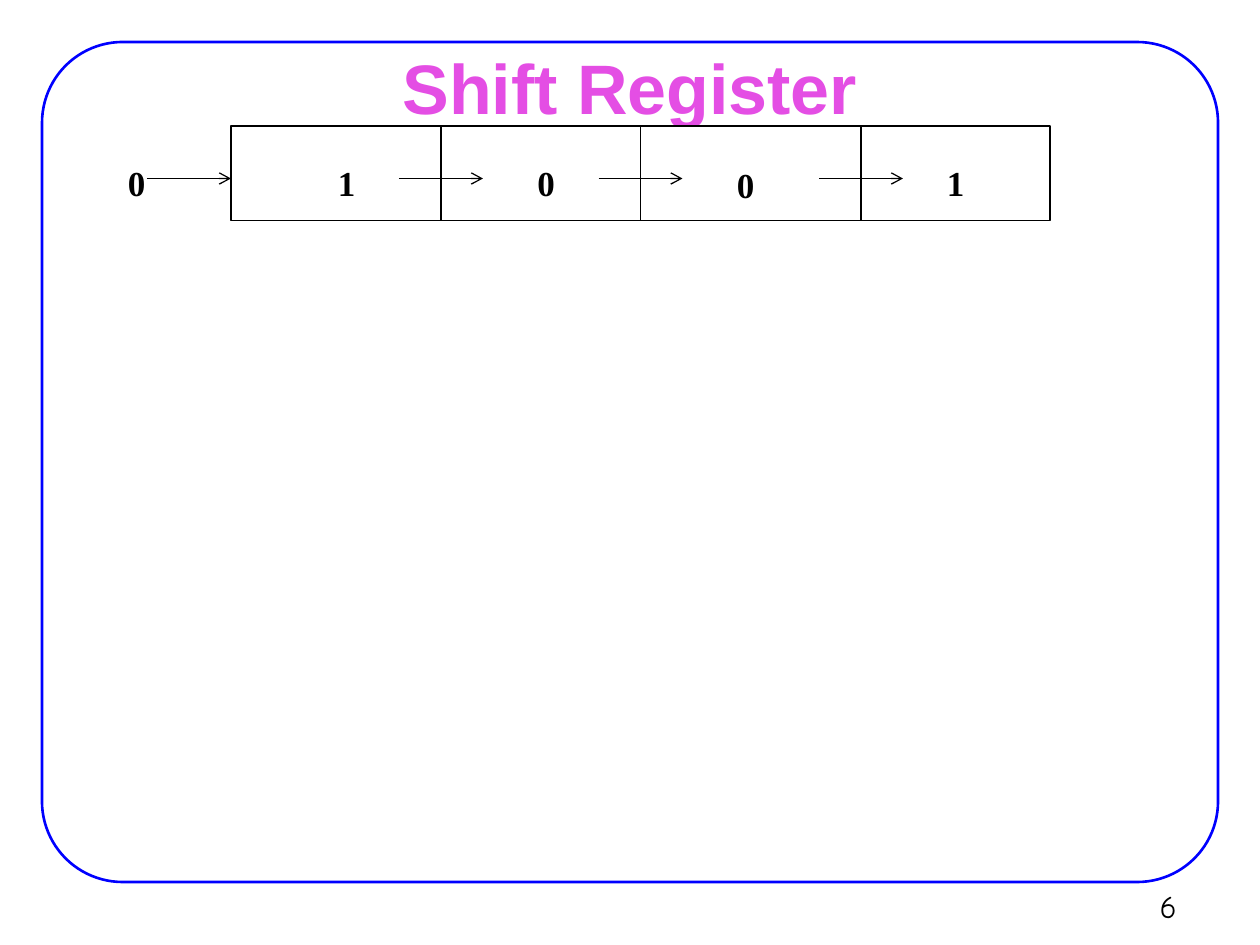
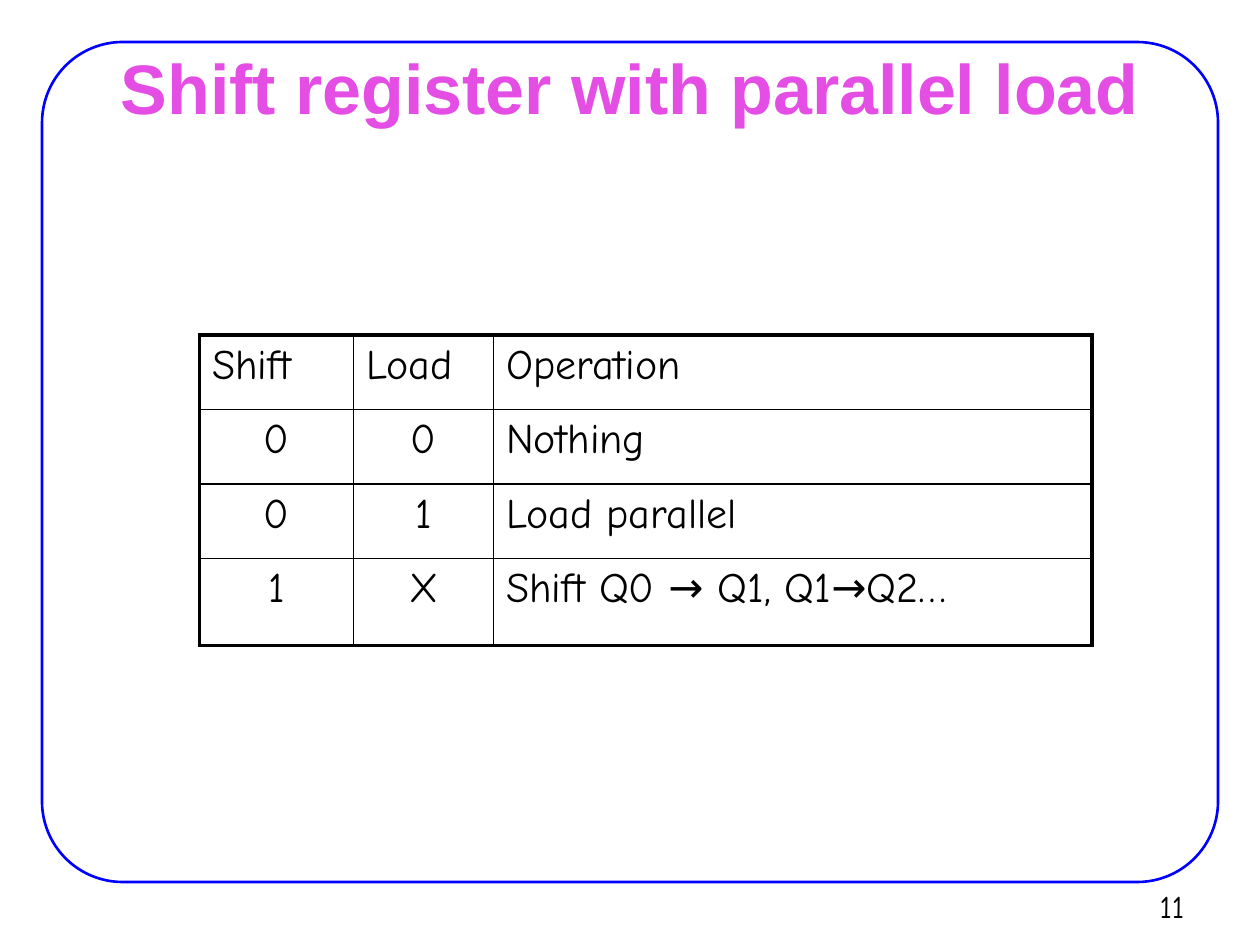
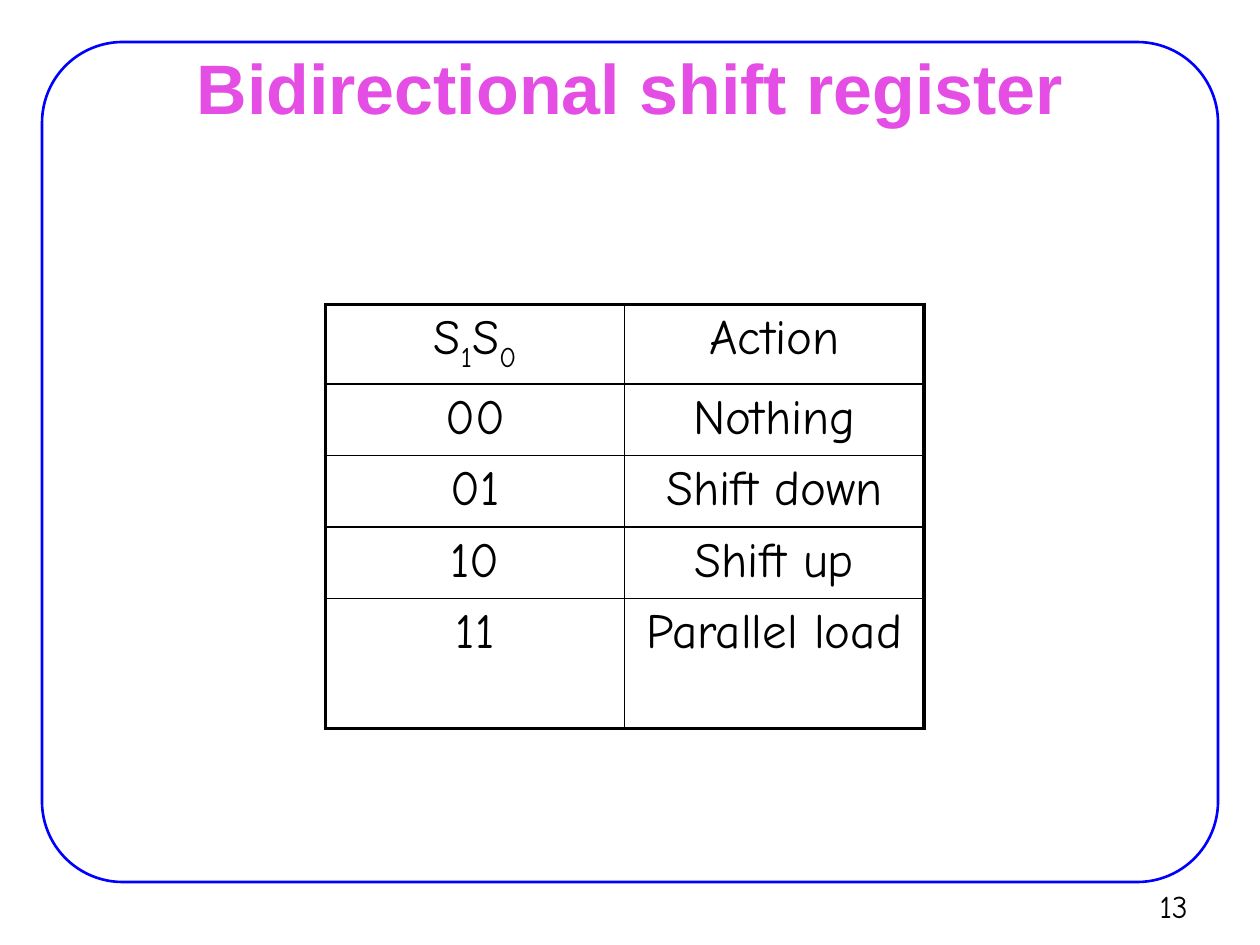
from collections import namedtuple
from dataclasses import dataclass

import pptx
import pptx.util
import pptx.dml.color
import pptx.enum.shapes
import pptx.enum.text
import pptx.oxml
import pptx.oxml.ns
from lxml import etree

SHAPE = pptx.enum.shapes.MSO_SHAPE
ALIGN = pptx.enum.text.PP_ALIGN
ANCHOR = pptx.enum.text.MSO_ANCHOR
qn = pptx.oxml.ns.qn


@dataclass(frozen=True)
class Theme:
    frame: str = "0000FF"
    title: str = "E44EE4"
    ink: str = "000000"
    paper: str = "FFFFFF"
    title_font: str = "Arial"
    body_font: str = "Comic Neue"
    bit_font: str = "Times New Roman"
    title_size: int = 40
    number_size: int = 18
    bit_size: int = 20
    frame_line: float = 1.5
    thin: float = 0.75
    inner_border: float = 1
    outer_border: float = 2.25


THEME = Theme()

# Grid of 120 columns by 90 rows; every Box is given in grid units
COLUMNS, ROWS = 120, 90
WIDTH, HEIGHT = pptx.util.Inches(10), pptx.util.Inches(7.5)
Box = namedtuple("Box", "left top width height")

FRAME = Box(4, 4, 112, 80)
TITLE = Box(9, 5.25, 102, 5.9)
NUMBER = Box(108.25, 83.9, 7.3, 4.4)


def across(columns):
    return round(WIDTH * columns / COLUMNS)


def down(rows):
    return round(HEIGHT * rows / ROWS)


def place(box):
    return across(box.left), down(box.top), across(box.width), down(box.height)


def colour(value):
    return pptx.dml.color.RGBColor.from_string(value)


def set_line(line, value, width):
    line.color.rgb = colour(value)
    line.width = pptx.util.Pt(width)


def add_run(paragraph, words, font, size, ink=THEME.ink, bold=False):
    run = paragraph.add_run()
    run.text = words
    run.font.name = font
    run.font.size = pptx.util.Pt(size)
    run.font.bold = bold
    run.font.color.rgb = colour(ink)
    return run


def add_label(slide, box, words, font, size, ink=THEME.ink, bold=False,
              align=ALIGN.LEFT, anchor=ANCHOR.TOP):
    frame = slide.shapes.add_textbox(*place(box)).text_frame
    frame.word_wrap = True
    frame.vertical_anchor = anchor
    frame.paragraphs[0].alignment = align
    add_run(frame.paragraphs[0], words, font, size, ink, bold)


def add_outline(slide, preset, box, line, width):
    outline = slide.shapes.add_shape(preset, *place(box))
    outline.shadow.inherit = False
    set_line(outline.line, line, width)
    return outline


def add_line(slide, start, end, arrow=False):
    connector = slide.shapes.add_connector(
        pptx.enum.shapes.MSO_CONNECTOR.STRAIGHT,
        across(start[0]), down(start[1]), across(end[0]), down(end[1]))
    set_line(connector.line, THEME.ink, THEME.thin)
    if arrow:
        line = connector.line._get_or_add_ln()
        etree.SubElement(line, qn("a:tailEnd"), type="arrow")
    etree.SubElement(connector._element.spPr, qn("a:effectLst"))
    return connector


def add_page(deck, title, number):
    """Blank slide with the frame, title and page number that all slides share."""
    slide = deck.slides.add_slide(deck.slide_layouts[6])
    frame = add_outline(slide, SHAPE.ROUNDED_RECTANGLE, FRAME,
                        THEME.frame, THEME.frame_line)
    frame.adjustments[0] = 0.096
    frame.fill.background()
    add_label(slide, TITLE, title, THEME.title_font, THEME.title_size,
              THEME.title, True, ALIGN.CENTER, ANCHOR.MIDDLE)
    add_label(slide, NUMBER, f" {number}", THEME.body_font, THEME.number_size)
    return slide


def add_register(slide, box):
    """Four-bit register with a bit shifted in from the left."""
    body = add_outline(slide, SHAPE.RECTANGLE, box, THEME.ink, THEME.thin)
    body.fill.solid()
    body.fill.fore_color.rgb = colour(THEME.paper)

    # Dividers between the bits; the one at mid-width joins the body
    for offset in (20, 39, 60):
        column = box.left + offset
        divider = add_line(slide, (column, box.top),
                           (column, box.top + box.height))
        if offset * 2 == box.width:
            divider.begin_connect(body, 0)
            divider.end_connect(body, 2)

    # Shift arrows
    arrow_row = box.top + 5
    for offset in (-8, 16, 35, 56):
        column = box.left + offset
        add_line(slide, (column, arrow_row), (column + 8, arrow_row), True)

    # Incoming bit, then the stored bits
    bits = (("0", -11, 2.8), ("1", 9, 2.8), ("0", 28, 2.8),
            ("0", 47, 3), ("1", 67, 2.8))
    for bit, column, row in bits:
        add_label(slide, Box(box.left + column, box.top + row, 4, 5.25), bit,
                  THEME.bit_font, THEME.bit_size, bold=True)


def set_borders(cell, heavy_sides):
    properties = cell._tc.get_or_add_tcPr()
    for index, side in enumerate("LRTB"):
        heavy = side in heavy_sides
        width = THEME.outer_border if heavy else THEME.inner_border
        border = etree.Element(qn(f"a:ln{side}"), w=str(pptx.util.Pt(width)))
        fill = etree.SubElement(border, qn("a:solidFill"))
        etree.SubElement(fill, qn("a:srgbClr"), val=THEME.ink)
        properties.insert(index, border)


def add_truth_table(slide, box, rows, widths, heights, size, is_centred):
    """Table with a heavy outer edge; a cell is a string or (text, baseline) runs."""
    table = slide.shapes.add_table(len(rows), len(widths), *place(box)).table
    table.first_row = table.horz_banding = False
    for column, width in zip(table.columns, widths):
        column.width = across(width)
    for row, height in zip(table.rows, heights):
        row.height = down(height)

    last_row, last_column = len(rows) - 1, len(widths) - 1
    for r, row in enumerate(rows):
        for c, content in enumerate(row):
            cell = table.cell(r, c)
            cell.fill.background()
            edges = (("L", c == 0), ("R", c == last_column),
                     ("T", r == 0), ("B", r == last_row))
            set_borders(cell, [side for side, outer in edges if outer])
            paragraph = cell.text_frame.paragraphs[0]
            paragraph.alignment = ALIGN.CENTER if is_centred(r, c) else ALIGN.LEFT
            runs = [(content, 0)] if isinstance(content, str) else content
            for words, baseline in runs:
                run = add_run(paragraph, words, THEME.body_font, size)
                if baseline:
                    run.font._element.set("baseline", str(baseline * 1000))


def main():
    deck = pptx.Presentation()
    deck.slide_width, deck.slide_height = WIDTH, HEIGHT

    # Shift register
    add_register(add_page(deck, "Shift Register", 6), Box(22, 12, 78, 9))

    # Parallel load
    operations = (("Shift", "Load", "Operation"),
                  ("0", "0", "Nothing"),
                  ("0", "1", "Load parallel"),
                  ("1", "X", "Shift Q0 → Q1, Q1→Q2…"))
    add_truth_table(add_page(deck, "Shift register with parallel load", 11),
                    Box(19, 31.9, 85, 29.6), operations,
                    widths=(14.67, 13.33, 57), heights=(7.1,) * 3 + (8.3,),
                    size=24, is_centred=lambda r, c: r > 0 and c < 2)

    # Bidirectional shift
    select = (("S", 0), ("1", -25), ("S", 0), ("0", -25))
    actions = ((select, "Action"),
               ("00", "Nothing"),
               ("01", "Shift down"),
               ("10", "Shift up"),
               ("11", "Parallel load"))
    add_truth_table(add_page(deck, "Bidirectional shift register", 13),
                    Box(31, 29, 57, 39.6), actions,
                    widths=(28.5,) * 2, heights=(6.8,) * 4 + (12.4,),
                    size=28, is_centred=lambda r, c: True)

    deck.save("out.pptx")


if __name__ == "__main__":
    main()
